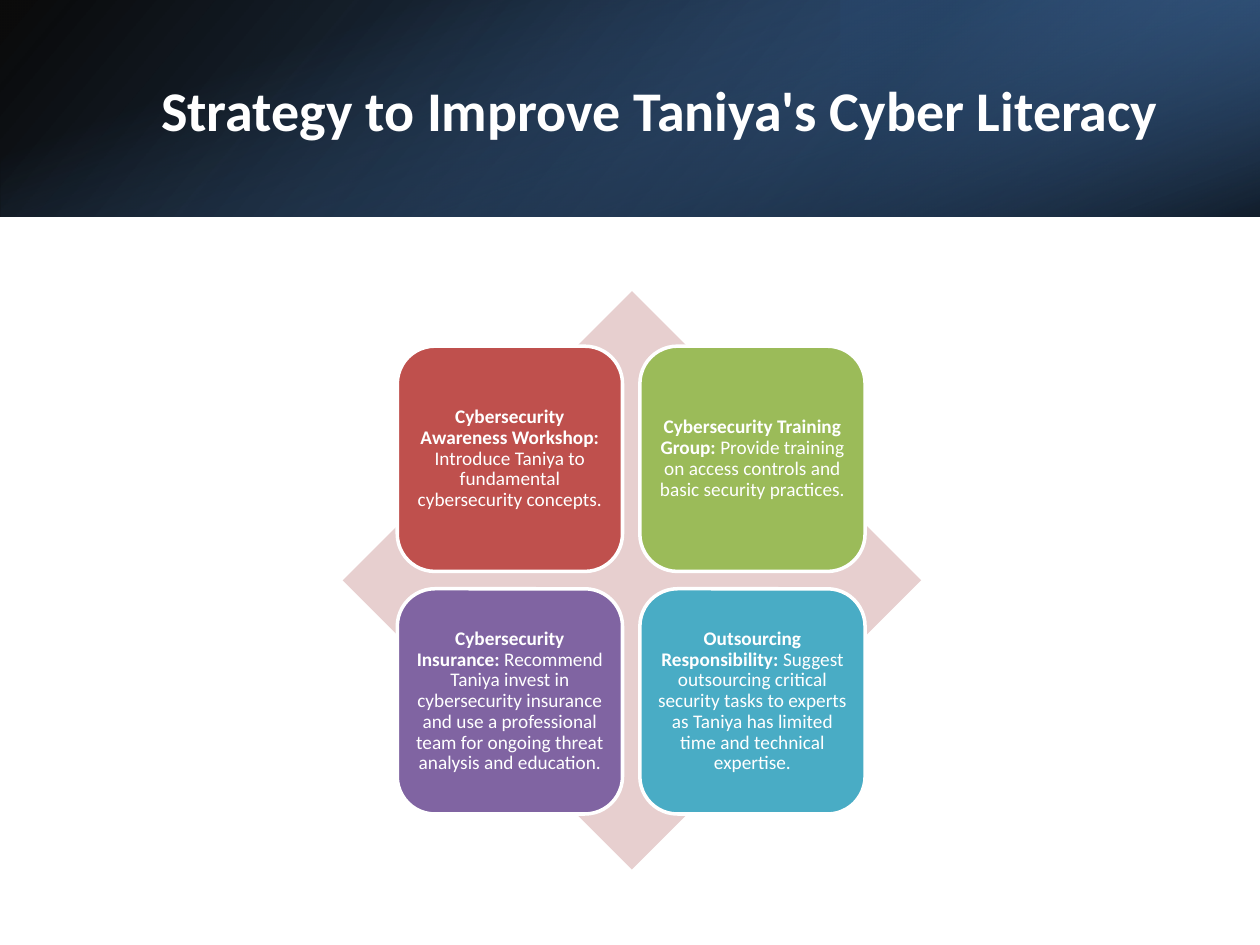
"""Build the cyber literacy strategy slide with its four-part matrix."""
from lxml import etree
from pptx import Presentation
from pptx.dml.color import RGBColor
from pptx.enum.shapes import MSO_SHAPE as Shp
from pptx.enum.text import MSO_ANCHOR as Anchor, PP_ALIGN as Align
from pptx.oxml.ns import qn
from pptx.util import Cm, Pt


def rgb(color):
    return RGBColor.from_string(color)


def add_text(p, text, size=11, color="FFFFFF", bold=False, font="Calibri"):
    r = p.add_run()
    r.text = text
    r.font.name, r.font.size, r.font.bold = font, Pt(size), bold
    r.font.color.rgb = rgb(color)


prs = Presentation()
prs.slide_width, prs.slide_height = Cm(25.4), Cm(19.05)
s = prs.slides.add_slide(prs.slide_layouts[5])

band_h = 4.37
bands = [
    ((0, 0, 25.4, band_h), 0, True, 140,
     [(0, "000000", 96), (100, "366092", 100)]),
    ((16.94, 0, 8.46, band_h), 180, True, 320,
     [(0, "244061", 68), (19, "244061", 68), (100, "4F81BD", 79)]),
    ((10.52, -10.52, band_h, 25.4), 90, False, 340,
     [(0, "4F81BD", 0), (23, "4F81BD", 0), (99, "000000", 74), (100, "000000", 74)]),
]
for box, rotation, flip, angle, stops in bands:
    sp = s.shapes.add_shape(Shp.RECTANGLE, *map(Cm, box))
    sp.shadow.inherit = False
    sp.line.fill.background()
    sp.rotation = rotation
    if flip:
        sp._element.spPr.find(qn("a:xfrm")).set("flipH", "1")
    sp.fill.gradient()
    grad = sp._element.spPr.find(qn("a:gradFill"))
    gs_list = grad.find(qn("a:gsLst"))
    for gs in list(gs_list):
        gs_list.remove(gs)
    for pos, color, alpha in stops:
        gs = etree.SubElement(gs_list, qn("a:gs"), pos=str(pos * 1000))
        clr = etree.SubElement(gs, qn("a:srgbClr"), val=color)
        etree.SubElement(clr, qn("a:alpha"), val=str(alpha * 1000))
    grad.find(qn("a:lin")).set("ang", str(angle * 60000))

title = s.shapes.title
title.left, title.top, title.width, title.height = map(Cm, (2.84, 0.97, 20.93, 2.44))
s.shapes._spTree.append(title._element)
tf = title.text_frame
tf.vertical_anchor = Anchor.MIDDLE
p = tf.paragraphs[0]
p.alignment = Align.CENTER
add_text(p, "Strategy to Improve Taniya's Cyber Literacy", size=32, bold=True)

sp = s.shapes.add_shape(Shp.DIAMOND, *map(Cm, (6.91, 5.87, 11.66, 11.66)))
sp.shadow.inherit = False
sp.fill.solid()
sp.fill.fore_color.rgb = rgb("E7CFCF")
sp.line.fill.background()

left, top, side, pitch = 8.01, 6.98, 4.54, 4.89
cards = [
    ("BF504D", "Cybersecurity Awareness Workshop:",
     " Introduce Taniya to fundamental cybersecurity concepts."),
    ("9BBB59", "Cybersecurity Training Group:",
     " Provide training on access controls and basic security practices."),
    ("8064A2", "Cybersecurity Insurance:",
     " Recommend Taniya invest in cybersecurity insurance and use a "
     "professional team for ongoing threat analysis and education."),
    ("49ACC5", "Outsourcing Responsibility:",
     " Suggest outsourcing critical security tasks to experts as Taniya "
     "has limited time and technical expertise."),
]
for i, (color, heading, body) in enumerate(cards):
    row, col = divmod(i, 2)
    sp = s.shapes.add_shape(Shp.ROUNDED_RECTANGLE, Cm(left + col * pitch),
                            Cm(top + row * pitch), Cm(side), Cm(side))
    sp.shadow.inherit = False
    sp.fill.solid()
    sp.fill.fore_color.rgb = rgb(color)
    sp.line.color.rgb = rgb("FFFFFF")
    sp.line.width = Pt(2)
    tf = sp.text_frame
    tf.word_wrap = True
    tf.vertical_anchor = Anchor.MIDDLE
    tf.margin_left = tf.margin_right = tf.margin_top = tf.margin_bottom = Cm(0.12)
    p = tf.paragraphs[0]
    p.alignment, p.line_spacing = Align.CENTER, 0.9
    add_text(p, heading, bold=True)
    add_text(p, body)

prs.save("out.pptx")
